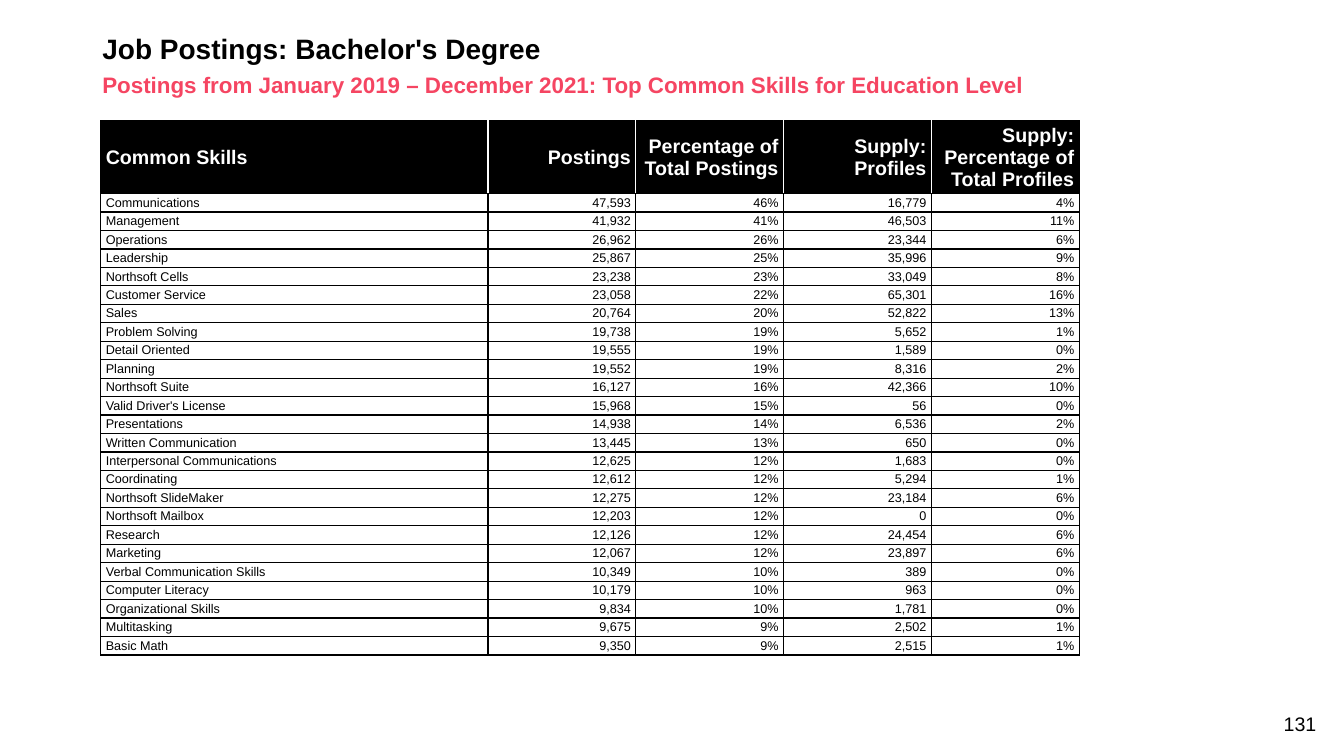
from dataclasses import dataclass

from lxml import etree
from pptx import Presentation, util as u
from pptx.dml.color import RGBColor
from pptx.enum import text
from pptx.oxml import ns

COLORS = {"black": "000000", "white": "FFFFFF", "pink": "F54562"}
FONT = "Arial"
NO_STYLE = "{2D5ABB26-0587-4C30-8999-92F81FD0307C}"

prs = Presentation()
prs.slide_width, prs.slide_height = u.Inches(13.33), u.Inches(7.5)

# Slide grid: 160 columns by 90 rows
COL, ROW = prs.slide_width / 160, prs.slide_height / 90


def cols(n: float) -> int:
    return round(n * COL)


def rows(n: float) -> int:
    return round(n * ROW)


@dataclass
class Style:
    size: int
    color: str
    bold: bool = False
    align: text.PP_ALIGN = text.PP_ALIGN.LEFT


@dataclass
class Label:
    words: str
    left: float
    top: float
    width: float
    height: float
    style: Style
    anchor: text.MSO_ANCHOR = text.MSO_ANCHOR.MIDDLE
    spacing: float = 0.9


@dataclass
class Skill:
    name: str
    postings: int
    postings_share: int
    profiles: int
    profiles_share: int

    def cells(self) -> list[str]:
        return [self.name, f"{self.postings:,}", f"{self.postings_share}%",
                f"{self.profiles:,}", f"{self.profiles_share}%"]


LABELS = [
    Label("Job Postings: Bachelor's Degree", 11, 3.6, 138, 4.8, Style(20, "black", True)),
    Label("Postings from January 2019 – December 2021: Top Common Skills for Education Level",
          11, 8.5, 138, 3.6, Style(16, "pink", True)),
    Label("131", 148.3, 84.1, 9.6, 4.1, Style(14, "black", align=text.PP_ALIGN.RIGHT),
          text.MSO_ANCHOR.BOTTOM, 1.0),
]

HEADINGS = ["Common Skills", "Postings", "Percentage of Total Postings",
            "Supply: Profiles", "Supply: Percentage of Total Profiles"]
COLUMN_WIDTHS = [46.1] + [17.6] * 4
HEADER_HEIGHT, BODY_HEIGHT = 6, 2.2

SKILLS = [
    Skill("Communications", 47593, 46, 16779, 4),
    Skill("Management", 41932, 41, 46503, 11),
    Skill("Operations", 26962, 26, 23344, 6),
    Skill("Leadership", 25867, 25, 35996, 9),
    Skill("Northsoft Cells", 23238, 23, 33049, 8),
    Skill("Customer Service", 23058, 22, 65301, 16),
    Skill("Sales", 20764, 20, 52822, 13),
    Skill("Problem Solving", 19738, 19, 5652, 1),
    Skill("Detail Oriented", 19555, 19, 1589, 0),
    Skill("Planning", 19552, 19, 8316, 2),
    Skill("Northsoft Suite", 16127, 16, 42366, 10),
    Skill("Valid Driver's License", 15968, 15, 56, 0),
    Skill("Presentations", 14938, 14, 6536, 2),
    Skill("Written Communication", 13445, 13, 650, 0),
    Skill("Interpersonal Communications", 12625, 12, 1683, 0),
    Skill("Coordinating", 12612, 12, 5294, 1),
    Skill("Northsoft SlideMaker", 12275, 12, 23184, 6),
    Skill("Northsoft Mailbox", 12203, 12, 0, 0),
    Skill("Research", 12126, 12, 24454, 6),
    Skill("Marketing", 12067, 12, 23897, 6),
    Skill("Verbal Communication Skills", 10349, 10, 389, 0),
    Skill("Computer Literacy", 10179, 10, 963, 0),
    Skill("Organizational Skills", 9834, 10, 1781, 0),
    Skill("Multitasking", 9675, 9, 2502, 1),
    Skill("Basic Math", 9350, 9, 2515, 1),
]


def write(tf, words: str, style: Style) -> None:
    tf.text = words
    p = tf.paragraphs[0]
    p.alignment = style.align
    r = p.runs[0]
    r.font.name, r.font.size, r.font.bold = FONT, u.Pt(style.size), style.bold
    r.font.color.rgb = RGBColor.from_string(COLORS[style.color])


def add_label(s, label: Label) -> None:
    sp = s.shapes.add_textbox(cols(label.left), rows(label.top),
                              cols(label.width), rows(label.height))
    tf = sp.text_frame
    tf.word_wrap = True
    tf.vertical_anchor = label.anchor
    write(tf, label.words, label.style)
    tf.paragraphs[0].line_spacing = label.spacing


def set_borders(cell, left: str, right: str) -> None:
    tc_pr = cell._tc.get_or_add_tcPr()
    edges = {"a:lnL": left, "a:lnR": right, "a:lnT": "black", "a:lnB": "black"}
    for edge, color in edges.items():
        ln = etree.SubElement(tc_pr, ns.qn(edge), w=str(u.Pt(1)))
        fill = etree.SubElement(ln, ns.qn("a:solidFill"))
        etree.SubElement(fill, ns.qn("a:srgbClr"), val=COLORS[color])


def fill_cell(cell, words: str, column: int, header: bool) -> None:
    align = text.PP_ALIGN.RIGHT if column else text.PP_ALIGN.LEFT
    style = Style(14, "white", True, align) if header else Style(9, "black", False, align)
    write(cell.text_frame, words, style)
    cell.vertical_anchor = text.MSO_ANCHOR.MIDDLE
    cell.margin_left = cell.margin_right = u.Inches(0.05)
    cell.margin_top = cell.margin_bottom = u.Inches(0.01)
    inner = "white" if header else "black"
    set_borders(cell, inner if column else "black",
                inner if column < len(HEADINGS) - 1 else "black")
    if header:
        cell.fill.solid()
        cell.fill.fore_color.rgb = RGBColor.from_string(COLORS["black"])
    else:
        cell.fill.background()


def add_skills_table(s) -> None:
    lines = [HEADINGS] + [skill.cells() for skill in SKILLS]
    height = HEADER_HEIGHT + BODY_HEIGHT * len(SKILLS)
    frame = s.shapes.add_table(len(lines), len(HEADINGS), cols(12), rows(14.4),
                               cols(sum(COLUMN_WIDTHS)), rows(height))
    table = frame.table
    table.first_row = table.horz_banding = False
    table._tbl.tblPr.find(ns.qn("a:tableStyleId")).text = NO_STYLE
    for column, width in zip(table.columns, COLUMN_WIDTHS):
        column.width = cols(width)
    for i, line in enumerate(lines):
        table.rows[i].height = rows(BODY_HEIGHT if i else HEADER_HEIGHT)
        for j, words in enumerate(line):
            fill_cell(table.cell(i, j), words, j, i == 0)


def main() -> None:
    s = prs.slides.add_slide(prs.slide_layouts[6])
    # Title, subtitle and page number
    for label in LABELS:
        add_label(s, label)
    # Skills by postings and profiles
    add_skills_table(s)
    prs.save("out.pptx")


if __name__ == "__main__":
    main()
